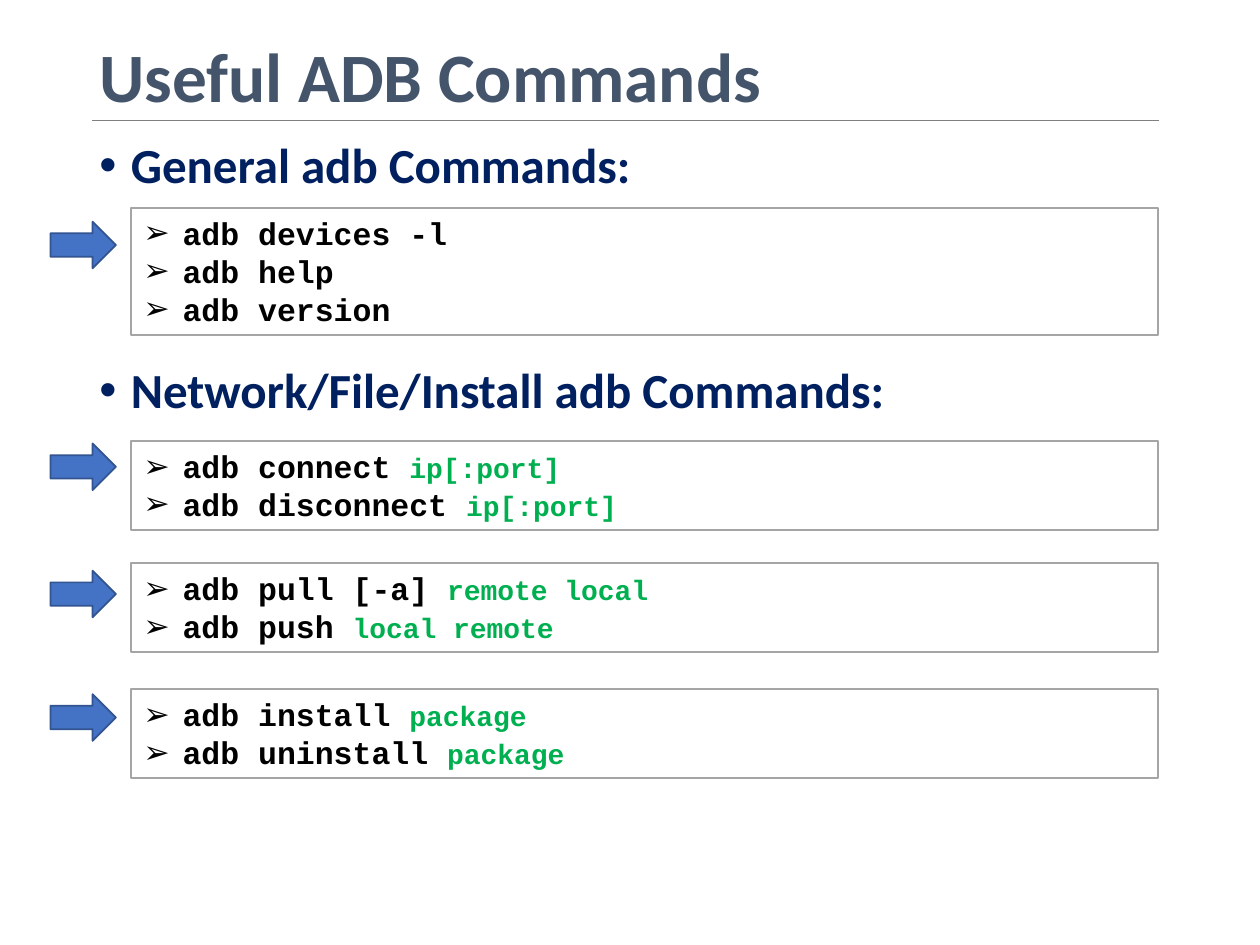
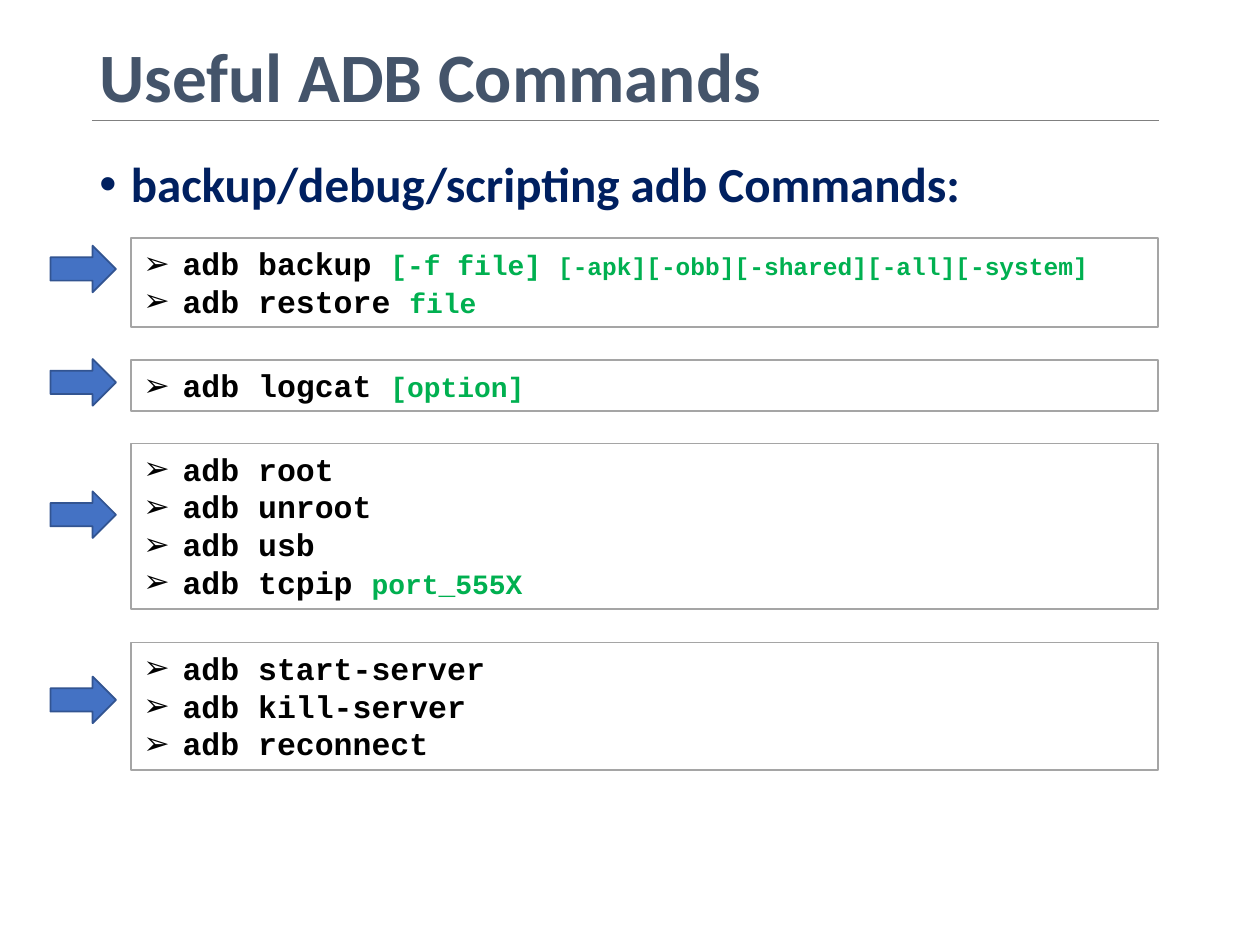
import lxml.etree
import pptx
import pptx.dml.color
import pptx.enum.shapes
import pptx.enum.text
import pptx.oxml.ns
import pptx.util

Inches = pptx.util.Inches
Pt = pptx.util.Pt
SHAPES = pptx.enum.shapes.MSO_SHAPE
ANCHOR = pptx.enum.text.MSO_ANCHOR
AUTO_SIZE = pptx.enum.text.MSO_AUTO_SIZE


def color(value):
    return pptx.dml.color.RGBColor.from_string(value)


def add_element(parent, tag, **attributes):
    return lxml.etree.SubElement(parent, pptx.oxml.ns.qn(tag), attributes)


class CommandDeck:
    HEADING_FONT = "Calibri"
    CODE_FONT = "Courier New"
    TITLE = "44546A"
    HEADING = "002060"
    COMMAND = "000000"
    ARGUMENT = "00B050"
    RULE = "808080"
    BOX_FILL = "FFFFFF"
    BOX_LINE = "A5A5A5"
    ARROW_FILL = "4472C4"
    ARROW_LINE = "325491"

    def __init__(self):
        self.presentation = pptx.Presentation()
        self.presentation.slide_width = Inches(10)
        self.presentation.slide_height = Inches(7.5)
        self.slide = None

    def add_slide(self, title):
        self.slide = self.presentation.slides.add_slide(self.presentation.slide_layouts[6])
        frame = self.text_box(0.69, 0.4, 8.62, 0.47)
        frame.vertical_anchor = ANCHOR.MIDDLE
        paragraph = frame.paragraphs[0]
        paragraph.line_spacing = 0.9
        self.run(paragraph, title, 39.6, self.HEADING_FONT, self.TITLE)
        self.rule(0.73, 9.2, 0.96)

    def text_box(self, left, top, width, height):
        shape = self.slide.shapes.add_textbox(
            Inches(left), Inches(top), Inches(width), Inches(height))
        shape.text_frame.word_wrap = True
        return shape.text_frame

    def rule(self, left, right, top):
        connector = self.slide.shapes.add_connector(
            pptx.enum.shapes.MSO_CONNECTOR.STRAIGHT,
            Inches(left), Inches(top), Inches(right), Inches(top))
        connector.line.color.rgb = color(self.RULE)
        connector.line.width = Pt(0.5)
        add_element(connector._element.spPr, "a:effectLst")

    def shape(self, kind, left, top, width, height, fill, line):
        shape = self.slide.shapes.add_shape(
            kind, Inches(left), Inches(top), Inches(width), Inches(height))
        shape.shadow.inherit = False
        shape.fill.solid()
        shape.fill.fore_color.rgb = color(fill)
        shape.line.color.rgb = color(line)
        shape.line.width = Pt(1)
        return shape

    def run(self, paragraph, text, size, font, text_color):
        run = paragraph.add_run()
        run.text = text
        run.font.size = Pt(size)
        run.font.name = font
        run.font.bold = True
        run.font.color.rgb = color(text_color)

    def bullet(self, paragraph, character, indent):
        properties = paragraph._p.get_or_add_pPr()
        properties.set("marL", str(Inches(indent)))
        properties.set("indent", str(-Inches(indent)))
        add_element(properties, "a:buFont", typeface="Arial")
        add_element(properties, "a:buChar", char=character)

    def heading(self, text, top, height):
        paragraph = self.text_box(0.69, top, 8.51, height).paragraphs[0]
        paragraph.line_spacing = 0.9
        paragraph.space_before = Pt(10)
        self.bullet(paragraph, "•", 0.25)
        self.run(paragraph, text, 28, self.HEADING_FONT, self.HEADING)

    def command_box(self, top, arrow_top, commands):
        height = 0.1 + 0.303 * len(commands)
        box = self.shape(SHAPES.RECTANGLE, 1.04, top, 8.15, height,
                         self.BOX_FILL, self.BOX_LINE)
        frame = box.text_frame
        frame.word_wrap = True
        frame.auto_size = AUTO_SIZE.SHAPE_TO_FIT_TEXT
        frame.vertical_anchor = ANCHOR.TOP
        for index, (command, *arguments) in enumerate(commands):
            paragraph = frame.add_paragraph() if index else frame.paragraphs[0]
            paragraph.alignment = pptx.enum.text.PP_ALIGN.LEFT
            self.bullet(paragraph, "➢", 0.31)
            self.run(paragraph, command, 18, self.CODE_FONT, self.COMMAND)
            for argument, size in zip(arguments, (16, 14)):
                self.run(paragraph, argument, size, self.CODE_FONT, self.ARGUMENT)
        self.shape(SHAPES.RIGHT_ARROW, 0.4, arrow_top, 0.52, 0.37,
                   self.ARROW_FILL, self.ARROW_LINE)


SLIDES = [
    {
        "headings": [
            ("General adb Commands:", 1.07, 2.39),
            ("Network/File/Install adb Commands:", 2.86, 4.23),
        ],
        "boxes": [
            (1.65, 1.76, [("adb devices -l",), ("adb help",), ("adb version",)]),
            (3.5, 3.52, [("adb connect ", "ip[:port]"), ("adb disconnect ", "ip[:port]")]),
            (4.47, 4.53, [("adb pull [-a] ", "remote local"), ("adb push ", "local remote")]),
            (5.47, 5.51, [("adb install ", "package"), ("adb uninstall ", "package")]),
        ],
    },
    {
        "headings": [("backup/debug/scripting adb Commands:", 1.22, 5.86)],
        "boxes": [
            (1.89, 1.95, [
                ("adb backup ", "[-f file] ", "[-apk][-obb][-shared][-all][-system]"),
                ("adb restore ", "file"),
            ]),
            (2.86, 2.85, [("adb logcat ", "[option]")]),
            (3.52, 3.9, [("adb root",), ("adb unroot",), ("adb usb",),
                         ("adb tcpip ", "port_555X")]),
            (5.1, 5.37, [("adb start-server",), ("adb kill-server",), ("adb reconnect",)]),
        ],
    },
]


def main():
    deck = CommandDeck()
    for content in SLIDES:
        deck.add_slide("Useful ADB Commands")
        for heading in content["headings"]:
            deck.heading(*heading)
        for box in content["boxes"]:
            deck.command_box(*box)
    deck.presentation.save("out.pptx")


if __name__ == "__main__":
    main()
